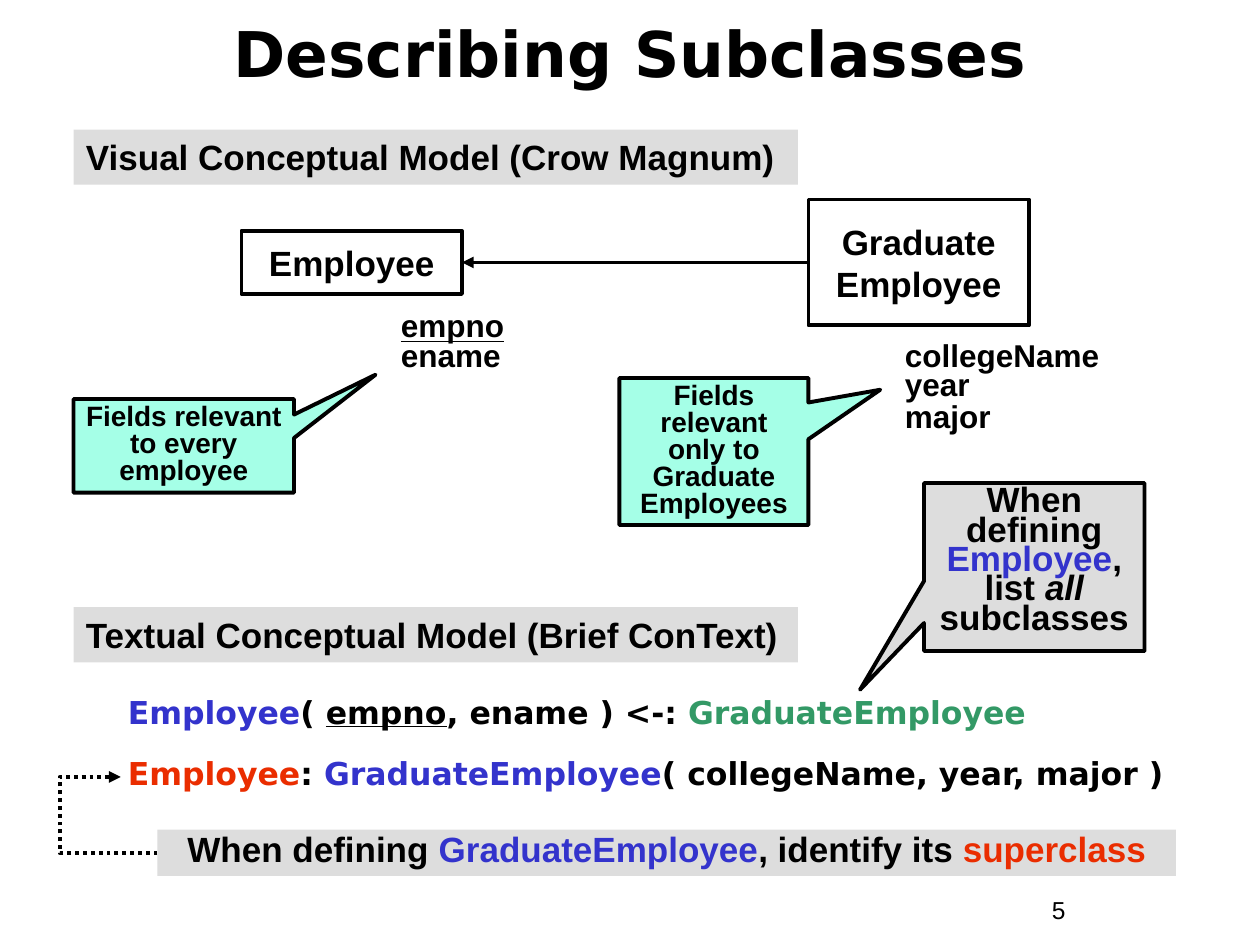
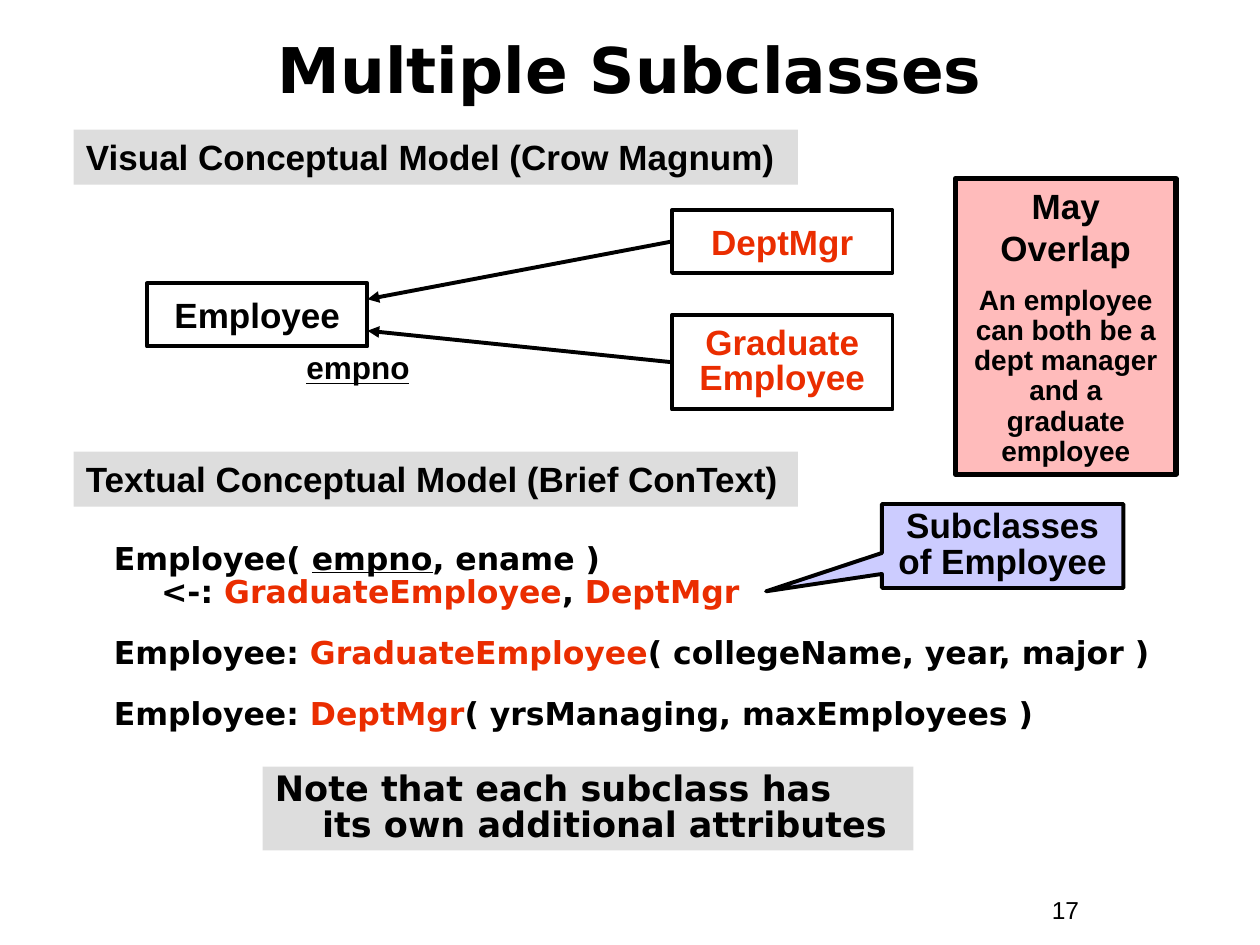
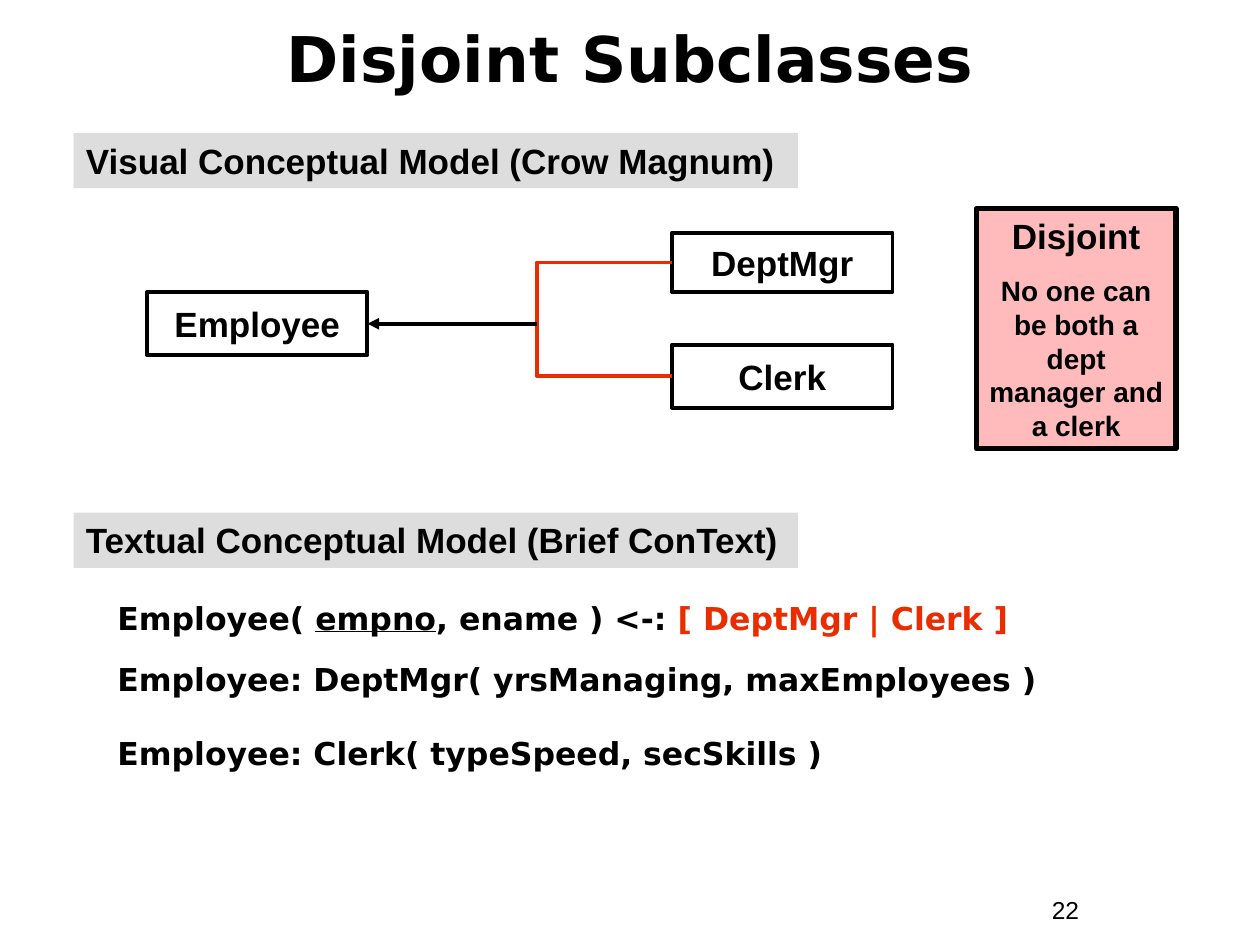
from copy import deepcopy
from dataclasses import dataclass, replace

from lxml.etree import SubElement
from pptx import Presentation
from pptx.dml.color import RGBColor
from pptx.enum.dml import MSO_LINE
from pptx.enum.shapes import MSO_CONNECTOR, MSO_SHAPE
from pptx.enum.text import MSO_ANCHOR, MSO_AUTO_SIZE, PP_ALIGN
from pptx.oxml.ns import qn
from pptx.util import Pt

BLACK = RGBColor(0x00, 0x00, 0x00)
WHITE = RGBColor(0xFF, 0xFF, 0xFF)
BLUE = RGBColor(0x33, 0x33, 0xCC)
GREEN = RGBColor(0x33, 0x99, 0x66)
RED = RGBColor(0xEA, 0x2D, 0x00)
GRAY = RGBColor(0xDD, 0xDD, 0xDD)
MINT = RGBColor(0xA5, 0xFF, 0xE7)
PINK = RGBColor(0xFF, 0xBB, 0xBB)
LAVENDER = RGBColor(0xCC, 0xCC, 0xFF)

LINE_WIDTH = 2.25
HANGING_INDENT = 27
STATEMENT_GAP = 16.5


@dataclass(frozen=True)
class Style:
    font: str = "Arial"
    size: float = 20
    bold: bool = True
    align: PP_ALIGN = PP_ALIGN.LEFT
    spacing: float = 1.0
    before: float = 0
    hanging: bool = False


@dataclass(frozen=True)
class Piece:
    text: str
    color: RGBColor = BLACK
    underline: bool = False
    italic: bool = False


HEADING = Style()
CENTERED = Style(align=PP_ALIGN.CENTER)
TITLE = Style("DejaVu Sans", 36, align=PP_ALIGN.CENTER)
STATEMENT = Style("DejaVu Sans", 18, spacing=0.85, hanging=True)
FIELD = Style(size=18, spacing=0.9)
FIELD_HINT = Style(size=16, align=PP_ALIGN.CENTER, spacing=0.8)
PAGE_NUMBER = Style(size=14, bold=False)
KEY = Piece("empno", underline=True)


def write_paragraph(paragraph, content, style):
    pieces = [Piece(content)] if isinstance(content, str) else content
    paragraph.alignment = style.align
    paragraph.line_spacing = style.spacing
    paragraph.space_before = Pt(style.before)
    if style.hanging:
        properties = paragraph._p.get_or_add_pPr()
        properties.set("marL", str(Pt(HANGING_INDENT)))
        properties.set("indent", str(-Pt(HANGING_INDENT)))
    for piece in pieces:
        for index, part in enumerate(piece.text.split("\n")):
            if index:
                paragraph.add_line_break()
            run = paragraph.add_run()
            run.text = part
            run.font.name = style.font
            run.font.size = Pt(style.size)
            run.font.bold = style.bold
            run.font.italic = piece.italic
            run.font.underline = piece.underline
            run.font.color.rgb = piece.color
    for line_break in paragraph._p.findall(qn("a:br")):
        line_break.append(deepcopy(run._r.rPr))


def write_text(shape, lines, anchor=MSO_ANCHOR.TOP, wrap=True):
    frame = shape.text_frame
    frame.word_wrap = wrap
    frame.auto_size = MSO_AUTO_SIZE.NONE
    frame.vertical_anchor = anchor
    for index, (content, style) in enumerate(lines):
        paragraph = frame.add_paragraph() if index else frame.paragraphs[0]
        write_paragraph(paragraph, content, style)


def add_text(slide, box, lines):
    text_box = slide.shapes.add_textbox(*map(Pt, box))
    write_text(text_box, lines)


def add_box(slide, box, lines, fill=None, line_width=0, kind=MSO_SHAPE.RECTANGLE, **layout):
    shape = slide.shapes.add_shape(kind, *map(Pt, box))
    shape.shadow.inherit = False
    if fill is None:
        shape.fill.background()
    else:
        shape.fill.solid()
        shape.fill.fore_color.rgb = fill
    if line_width:
        shape.line.color.rgb = BLACK
        shape.line.width = Pt(line_width)
    else:
        shape.line.fill.background()
    write_text(shape, lines, **layout)
    return shape


def add_class_box(slide, left, top, height, name, color=BLACK, spacing=1.0):
    style = replace(CENTERED, spacing=spacing)
    return add_box(slide, (left, top, 126, height), [([Piece(name, color)], style)],
                   line_width=LINE_WIDTH, anchor=MSO_ANCHOR.MIDDLE, wrap=False)


def add_callout(slide, box, pointer, fill, content, style):
    callout = add_box(slide, box, [(content, style)], fill, LINE_WIDTH,
                      MSO_SHAPE.RECTANGULAR_CALLOUT)
    callout.adjustments[0], callout.adjustments[1] = pointer


def add_rule_box(slide, box, heading, explanation, spacing):
    detail = replace(CENTERED, size=16, spacing=spacing, before=10)
    add_box(slide, box, [(heading, CENTERED), (explanation, detail)], PINK, 3)


def add_line(slide, start, end, color=BLACK, arrow=True, bend=None, dotted=False):
    kind = MSO_CONNECTOR.STRAIGHT if bend is None else MSO_CONNECTOR.ELBOW
    connector = slide.shapes.add_connector(kind, *map(Pt, (*start, *end)))
    connector.line.color.rgb = color
    connector.line.width = Pt(LINE_WIDTH)
    if dotted:
        connector.line.dash_style = MSO_LINE.ROUND_DOT
    if arrow:
        SubElement(connector.line._get_or_add_ln(), qn("a:tailEnd"), type="triangle")
    properties = connector._element.spPr
    if bend is not None:
        values = properties.find(".//" + qn("a:avLst"))
        SubElement(values, qn("a:gd"), name="adj1", fmla=f"val {round(bend * 100000)}")
    SubElement(properties, qn("a:effectLst"))
    return connector


def add_statements(slide, box, statements, gaps):
    lines = [(content, replace(STATEMENT, before=gap))
             for content, gap in zip(statements, (0, *gaps))]
    add_text(slide, box, lines)


def add_slide(presentation, title, title_top, title_height, number, visual_top, textual_top):
    slide = presentation.slides.add_slide(presentation.slide_layouts[5])
    slide.background.fill.solid()
    slide.background.fill.fore_color.rgb = WHITE
    placeholder = slide.shapes.title
    placeholder.left, placeholder.top = Pt(24), Pt(title_top)
    placeholder.width, placeholder.height = Pt(672), Pt(title_height)
    write_text(placeholder, [(title, TITLE)], MSO_ANCHOR.MIDDLE)
    add_text(slide, (594, 508, 66, 25), [(number, PAGE_NUMBER)])
    for top, heading in ((visual_top, "Visual Conceptual Model (Crow Magnum)"),
                         (textual_top, "Textual Conceptual Model (Brief ConText)")):
        add_box(slide, (42, top, 414, 31.5), [(heading, HEADING)], GRAY)
    return slide


def build_describing(presentation):
    slide = add_slide(presentation, "Describing Subclasses", 9, 42, "5", 74, 347)
    employee = add_class_box(slide, 138, 132, 36, "Employee")
    graduate = add_class_box(slide, 462, 114, 72, "Graduate\nEmployee")
    arrow = add_line(slide, (462, 150), (264, 150))
    arrow.begin_connect(graduate, 1)
    arrow.end_connect(employee, 3)
    add_statements(slide, (66, 396, 624, 72), [
        [Piece("Employee", BLUE), Piece("( "), KEY, Piece(", ename ) <-: "),
         Piece("GraduateEmployee", GREEN)],
        [Piece("Employee", RED), Piece(": "), Piece("GraduateEmployee", BLUE),
         Piece("( collegeName, year, major )")],
    ], [STATEMENT_GAP])
    add_callout(slide, (528, 276, 126, 96), (-0.79, 0.73), GRAY,
                [Piece("When defining "), Piece("Employee", BLUE), Piece(",\nlist "),
                 Piece("all", italic=True), Piece(" subclasses")],
                replace(CENTERED, spacing=0.7))
    tight_field = replace(FIELD, spacing=0.75)
    loose_field = replace(FIELD, spacing=0.85)
    add_text(slide, (222, 174, 78, 43), [([KEY], FIELD), ("ename", tight_field)])
    add_text(slide, (510, 192, 126, 60), [
        ("collegeName", loose_field), ("year", tight_field), ("major", loose_field)])
    add_callout(slide, (42, 228, 126, 53.5), (0.87, -0.76), MINT,
                "Fields relevant to every employee", FIELD_HINT)
    add_callout(slide, (354, 216, 108, 84), (0.88, -0.42), MINT,
                "Fields relevant only to\nGraduate Employees", FIELD_HINT)
    add_box(slide, (90, 474, 582, 26.5), [(
        [Piece("When defining "), Piece("GraduateEmployee", BLUE),
         Piece(", identify its "), Piece("superclass", RED)],
        replace(CENTERED, spacing=0.8))], GRAY)
    add_line(slide, (90, 487.5), (69, 444), bend=2.66, dotted=True)


def build_multiple(presentation):
    slide = add_slide(presentation, "Multiple Subclasses", 6, 66, "17", 74, 258)
    graduate = add_class_box(slide, 384, 180, 54, "Graduate\nEmployee", RED, 0.85)
    manager = add_class_box(slide, 384, 120, 36, "DeptMgr", RED)
    add_class_box(slide, 84, 162, 36, "Employee")
    for subclass, middle, arrival in ((graduate, 207, 189), (manager, 138, 171)):
        arrow = add_line(slide, (384, middle), (210, arrival))
        arrow.begin_connect(subclass, 1)
    add_text(slide, (168, 198, 78, 27), [([KEY], FIELD)])
    add_rule_box(slide, (546, 102, 126, 169), "May Overlap",
                 "An employee can both be a dept manager and a graduate employee", 0.9)
    add_statements(slide, (58, 308, 642, 126), [
        [Piece("Employee( "), KEY, Piece(", ename )\n<-: "),
         Piece("GraduateEmployee", RED), Piece(", "), Piece("DeptMgr", RED)],
        [Piece("Employee: "), Piece("GraduateEmployee", RED),
         Piece("( collegeName, year, major )")],
        [Piece("Employee: "), Piece("DeptMgr", RED),
         Piece("( yrsManaging, maxEmployees )")],
    ], [STATEMENT_GAP, STATEMENT_GAP])
    add_box(slide, (150, 438, 372, 48), [
        ("Note that each subclass has\nits own additional attributes",
         replace(STATEMENT, size=20))], GRAY)
    add_callout(slide, (504, 288, 138, 48), (-0.98, 0.54), LAVENDER,
                "Subclasses\nof Employee", replace(CENTERED, spacing=0.85))


def build_disjoint(presentation):
    slide = add_slide(presentation, "Disjoint Subclasses", 6, 54, "22", 76, 293)
    employee = add_class_box(slide, 84, 167, 36, "Employee")
    add_class_box(slide, 384, 133, 34, "DeptMgr")
    add_class_box(slide, 384, 197, 36, "Clerk")
    junction = (307, 185)
    for middle in (150, 215):
        add_line(slide, junction, (384, middle), RED, arrow=False, bend=0)
    arrow = add_line(slide, junction, (210, 185))
    arrow.end_connect(employee, 3)
    add_rule_box(slide, (558, 119, 114, 137.5), "Disjoint",
                 "No one can be both a dept manager and a clerk", 1.0)
    add_statements(slide, (60, 342, 600, 150), [
        [Piece("Employee( "), KEY, Piece(", ename ) <-: "),
         Piece("[ DeptMgr | Clerk ]", RED)],
        "Employee: DeptMgr( yrsManaging, maxEmployees )",
        "Employee: Clerk( typeSpeed, secSkills )",
    ], [STATEMENT_GAP, 24])


def main():
    presentation = Presentation()
    presentation.slide_width = Pt(720)
    presentation.slide_height = Pt(540)
    build_describing(presentation)
    build_multiple(presentation)
    build_disjoint(presentation)
    presentation.save("out.pptx")


if __name__ == "__main__":
    main()
